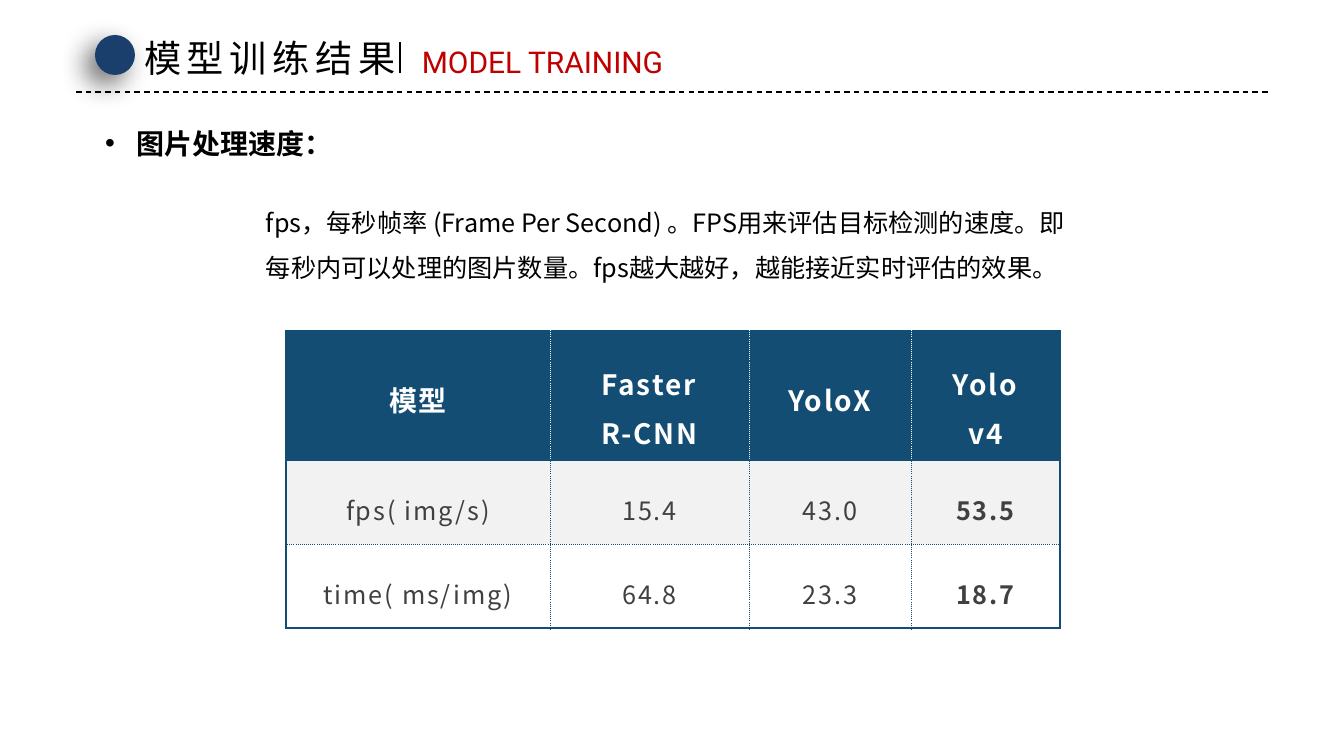
from dataclasses import dataclass
from lxml.etree import SubElement
from pptx import Presentation
from pptx.dml.color import RGBColor as Rgb
from pptx.enum.dml import MSO_LINE_DASH_STYLE as Dash
from pptx.enum.shapes import MSO_CONNECTOR as Conn, MSO_SHAPE as Shape
from pptx.enum.text import MSO_ANCHOR as Anchor, MSO_AUTO_SIZE as Fit, PP_ALIGN as Align
from pptx.oxml import parse_xml as make
from pptx.oxml.ns import nsdecls, qn
from pptx.util import Emu, Pt


@dataclass
class Theme:
    black: str = "000000"
    white: str = "FFFFFF"
    red: str = "C00000"
    dot: str = "1A3F6C"
    navy: str = "144D73"
    band: str = "F2F2F2"
    gray: str = "404040"
    title: float = 26.6
    sub: float = 21.4
    head: float = 20
    text: float = 18
    sans: str = "Noto Sans CJK SC"
    roboto: str = "Roboto"
    serif: str = "Times New Roman"


class Deck:
    SCALE = 914400 / 100.8

    def __init__(self, theme):
        self.theme = theme
        self.prs = Presentation()
        self.prs.slide_width = self.px(1344)
        self.prs.slide_height = self.px(756)
        self.slide = self.prs.slides.add_slide(self.prs.slide_layouts[1])
        self.shapes = self.slide.shapes

    def px(self, n):
        return Emu(round(n * self.SCALE))

    def run(self, para, text, size, color, face=None, bold=False, gap=0):
        run = para.add_run()
        run.text = text
        font = run.font
        font.size, font.bold = Pt(size), bold
        font.color.rgb = Rgb.from_string(color)
        font.name = face or self.theme.sans
        props = run._r.get_or_add_rPr()
        SubElement(props, qn("a:ea")).set("typeface", self.theme.sans)
        if gap:
            props.set("spc", str(round(gap * 100)))

    def place(self, box, at, wrap=True):
        """Set position and frame; return the first paragraph."""
        box.left, box.top, box.width, box.height = map(self.px, at)
        frame = box.text_frame
        frame.word_wrap = wrap
        frame.auto_size = Fit.SHAPE_TO_FIT_TEXT
        frame.vertical_anchor = Anchor.TOP
        para = frame.paragraphs[0]
        para.alignment = Align.LEFT
        para.space_before = Pt(0)
        return para

    def text(self, at, wrap=True):
        return self.place(self.shapes.add_textbox(0, 0, 0, 0), at, wrap)

    def line(self, start, end, width, dash=None):
        line = self.shapes.add_connector(Conn.STRAIGHT, *map(self.px, start + end))
        line.line.color.rgb = Rgb.from_string(self.theme.black)
        line.line.width = Pt(width)
        if dash:
            line.line.dash_style = dash
        SubElement(line._element.spPr, qn("a:effectLst"))

    def disc(self, at, color):
        disc = self.shapes.add_shape(Shape.OVAL, *map(self.px, at))
        disc.fill.solid()
        disc.fill.fore_color.rgb = Rgb.from_string(color)
        disc.line.fill.background()
        disc._element.spPr.append(make(
            f'<a:effectLst {nsdecls("a")}><a:outerShdw blurRad="{Pt(20)}" dist="{Pt(10)}" '
            'dir="8100000" algn="tr" rotWithShape="0"><a:srgbClr val="000000">'
            '<a:alpha val="60000"/></a:srgbClr></a:outerShdw></a:effectLst>'))

    def bullet(self, para, indent):
        props = para._p.get_or_add_pPr()
        props.set("marL", str(self.px(indent)))
        props.set("indent", str(-self.px(indent)))
        SubElement(props, qn("a:buFont")).set("typeface", "Arial")
        SubElement(props, qn("a:buChar")).set("char", "•")

    def edges(self, cell, bold, inner):
        """Draw strong navy lines on bold sides and dotted ones elsewhere."""
        props = cell._tc.get_or_add_tcPr()
        for i, side in enumerate("LRTB"):
            strong = side in bold
            color = self.theme.navy if strong else inner
            width = Pt(1.5 if strong else 0.25)
            dash = "solid" if strong else "dot"
            props.insert(i, make(
                f'<a:ln{side} {nsdecls("a")} w="{width}"><a:solidFill>'
                f'<a:srgbClr val="{color}"/></a:solidFill>'
                f'<a:prstDash val="{dash}"/></a:ln{side}>'))

    def table(self, at, cols, rows, data):
        t = self.theme
        size = (sum(cols), sum(rows))
        grid = self.shapes.add_table(len(rows), len(cols), *map(self.px, at + size)).table
        grid.first_row = grid.horz_banding = False
        for col, width in zip(grid.columns, cols):
            col.width = self.px(width)
        for row, height in zip(grid.rows, rows):
            row.height = self.px(height)
        fills = (t.navy, t.band, t.white)
        last = len(cols) - 1
        for r, words in enumerate(data):
            for c, word in enumerate(words):
                cell, head = grid.cell(r, c), r == 0
                cell.fill.solid()
                cell.fill.fore_color.rgb = Rgb.from_string(fills[r])
                cell.vertical_anchor = Anchor.MIDDLE
                cell.margin_left = cell.margin_right = self.px(35)
                cell.margin_top = cell.margin_bottom = self.px(24)
                para = cell.text_frame.paragraphs[0]
                para.alignment, para.line_spacing = Align.CENTER, 1.2
                self.run(para, word, t.head if head else t.text,
                         t.white if head else t.gray,
                         bold=head or c == last, gap=1.3)
                bold = ("TB", "T", "B")[r] + "L" * (c == 0) + "R" * (c == last)
                self.edges(cell, bold, t.white if head else t.navy)


def main():
    t = Theme()
    deck = Deck(t)

    # Heading strip
    deck.line((76, 92), (1268, 92), 1, Dash.DASH)
    deck.disc((95, 35, 40, 40), t.dot)
    para = deck.place(deck.shapes.title, (134, 30, 278, 55), wrap=False)
    deck.run(para, "模型训练结果", t.title, t.black, gap=4)
    para = deck.text((412, 39, 279, 46))
    deck.run(para, "MODEL TRAINING", t.sub, t.red, t.roboto)
    deck.line((400, 42), (400, 73), 1.5)

    # Speed table
    deck.table((286, 331), (264, 199, 162, 149), (128, 84, 84), (
        ("模型", "Faster R-CNN", "YoloX", "Yolov4"),
        ("fps( img/s)", "15.4", "43.0", "53.5"),
        ("time( ms/img)", "64.8", "23.3", "18.7")))

    # Topic and explanation
    para = deck.place(deck.slide.placeholders[1], (95, 121, 224, 44))
    deck.bullet(para, 31)
    deck.run(para, "图片处理速度：", t.head, t.black, t.serif, bold=True)
    para = deck.text((256, 187, 833, 102))
    para.line_spacing = 1.5
    deck.run(para, "fps，每秒帧率 (Frame Per Second) 。FPS用来评估目标检测的速度。"
             "即每秒内可以处理的图片数量。fps越大越好，越能接近实时评估的效果。", t.text, t.black)

    deck.prs.save("out.pptx")


if __name__ == "__main__":
    main()
